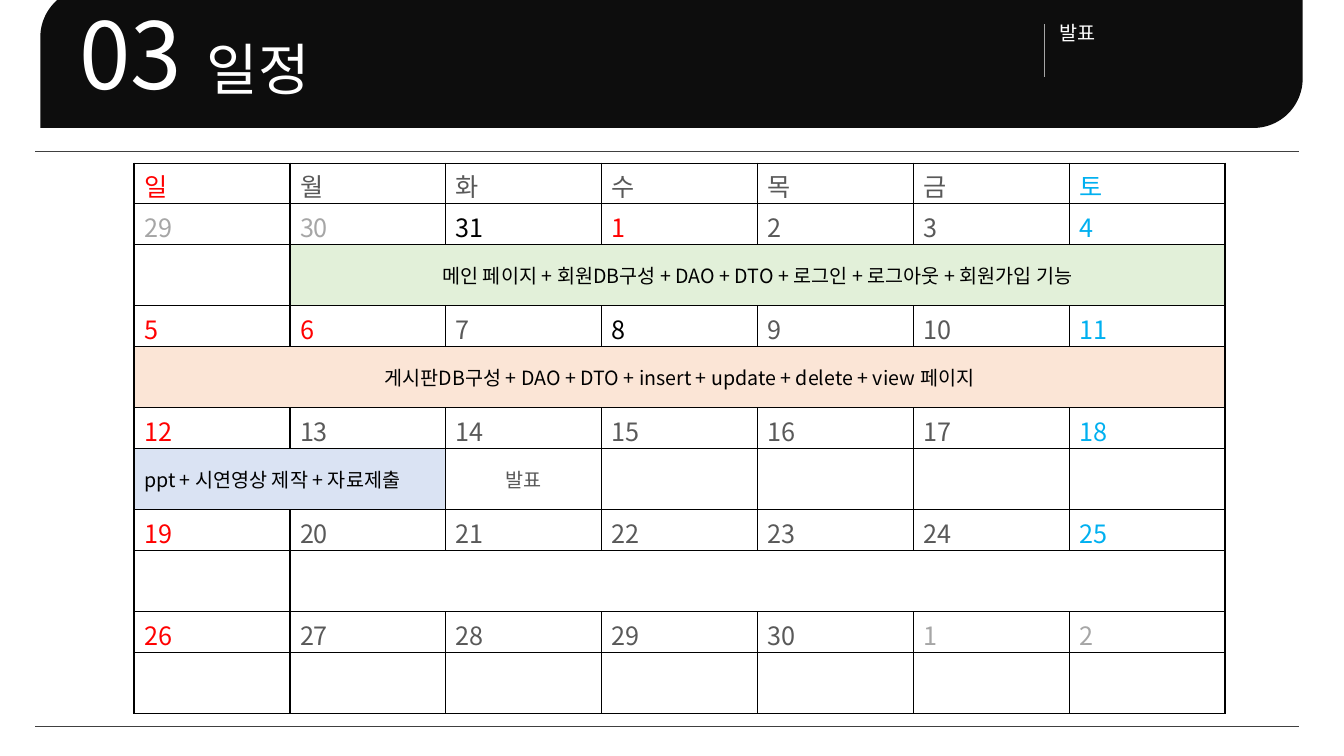
from math import asin, cos, pi, sin
from lxml import etree
from pptx import Presentation
from pptx.dml.color import RGBColor
from pptx.enum.text import MSO_ANCHOR, MSO_AUTO_SIZE, PP_ALIGN
from pptx.oxml import parse_xml
from pptx.oxml.ns import nsdecls, qn
from pptx.util import Inches, Pt

COLORS = {
    "white": "FFFFFF", "black": "000000", "banner": "0D0D0D", "rule": "404040",
    "muted": "A6A6A6", "day": "595959", "red": "FF0000", "blue": "00B0F0",
    "green_bar": "E2F0D9", "orange_bar": "FBE5D6", "blue_bar": "DAE3F3",
}

WEEKS = [
    "일 월 화 수 목 금 토",
    "29 30 31 1 2 3 4",
    "5 6 7 8 9 10 11",
    "12 13 14 15 16 17 18",
    "19 20 21 22 23 24 25",
    "26 27 28 29 30 1 2",
]

WEEKDAY_COLORS = ["red"] + ["day"] * 5 + ["blue"]

SPECIAL_DAYS = {
    (1, 0): "muted", (1, 1): "muted", (1, 2): "black", (1, 3): "red",
    (2, 1): "red", (2, 3): "black", (5, 5): "muted", (5, 6): "muted",
}

EVENTS = [
    (1, 1, 6, "메인 페이지 + 회원DB구성 + DAO + DTO + 로그인 + 로그아웃 + 회원가입 기능",
     "black", "green_bar", PP_ALIGN.CENTER),
    (2, 0, 7, "게시판DB구성 + DAO + DTO + insert + update + delete + view 페이지",
     "black", "orange_bar", PP_ALIGN.CENTER),
    (3, 0, 2, "ppt + 시연영상 제작 + 자료제출", "black", "blue_bar", PP_ALIGN.LEFT),
    (3, 2, 1, "발표", "day", "white", PP_ALIGN.CENTER),
    (4, 1, 6, "", "day", "white", PP_ALIGN.LEFT),
]


def rgb(name):
    return RGBColor.from_string(COLORS[name])


class Deck:
    font = "Noto Sans CJK KR"

    def __init__(self):
        self.prs = Presentation()
        self.prs.slide_width = Inches(13.33)
        self.prs.slide_height = Inches(7.5)
        self.s = self.prs.slides.add_slide(self.prs.slide_layouts[5])

    def set_text(self, tf, text, size, color, align=PP_ALIGN.LEFT):
        tf.text = text
        p = tf.paragraphs[0]
        p.alignment = align
        for r in p.runs:
            r.font.size = Pt(size)
            r.font.name = self.font
            r.font.color.rgb = rgb(color)
            ea = etree.SubElement(r.font._element, qn("a:ea"))
            ea.set("typeface", self.font)
        return p

    def line(self, x1, y1, x2, y2, color, width):
        c = self.s.shapes.add_connector(1, Inches(x1), Inches(y1), Inches(x2), Inches(y2))
        c.line.color.rgb = rgb(color)
        c.line.width = Pt(width)
        etree.SubElement(c._element.spPr, qn("a:effectLst"))

    def banner(self, left, right, bottom, radius):
        def arc(cx, cy, start, end, steps=24):
            angles = [start + (end - start) * i / steps for i in range(steps + 1)]
            return [(cx + radius * cos(a), cy + radius * sin(a)) for a in angles]

        upper_y = 0.37
        points = arc(left + radius, upper_y, pi, pi + asin(upper_y / radius))
        points += [(right, 0)]
        points += arc(right - radius, bottom - radius, 0, pi / 2)
        points += [(left, bottom)]
        points = [(Inches(x), Inches(y)) for x, y in points]
        fb = self.s.shapes.build_freeform(*points[0])
        fb.add_line_segments(points[1:], close=True)
        sp = fb.convert_to_shape()
        sp.shadow.inherit = False
        sp.fill.solid()
        sp.fill.fore_color.rgb = rgb("banner")
        sp.line.fill.background()

    def heading(self, sp, text, size, wrap):
        tf = sp.text_frame
        p = self.set_text(tf, text, size, "white")
        p.line_spacing = 0.88
        tf.word_wrap = wrap
        tf.auto_size = MSO_AUTO_SIZE.NONE
        tf.vertical_anchor = MSO_ANCHOR.TOP

    def label(self, left, top, width, height, text, size):
        sp = self.s.shapes.add_textbox(Inches(left), Inches(top), Inches(width), Inches(height))
        self.heading(sp, text, size, False)

    def title(self, left, top, width, height, text, size):
        sp = self.s.shapes.title
        sp.left, sp.top = Inches(left), Inches(top)
        sp.width, sp.height = Inches(width), Inches(height)
        self.heading(sp, text, size, True)
        sp.element.getparent().append(sp.element)

    def border(self, cell):
        tcPr = cell._tc.get_or_add_tcPr()
        for i, side in enumerate("LRTB"):
            tcPr.insert(i, parse_xml(
                f'<a:ln{side} {nsdecls("a")} w="12700"><a:solidFill>'
                f'<a:srgbClr val="{COLORS["black"]}"/></a:solidFill></a:ln{side}>'))

    def fill_cell(self, cell, color):
        cell.fill.solid()
        cell.fill.fore_color.rgb = rgb(color)

    def calendar(self, left, top, width, height):
        rows = 2 * len(WEEKS) - 1
        table = self.s.shapes.add_table(rows, 7, Inches(left), Inches(top),
                                        Inches(width), Inches(height)).table
        table.first_row = table.horz_banding = False
        for i, row in enumerate(table.rows):
            is_event_row = i > 0 and i % 2 == 0
            row.height = Inches(0.61 if is_event_row else 0.4)
            for cell in row.cells:
                cell.vertical_anchor = MSO_ANCHOR.MIDDLE
                self.fill_cell(cell, "white")
                self.border(cell)
        for week, days in enumerate(WEEKS):
            for col, day in enumerate(days.split()):
                cell = table.cell(max(0, 2 * week - 1), col)
                cell.margin_top, cell.margin_bottom = Inches(0.04), 0
                color = SPECIAL_DAYS.get((week, col), WEEKDAY_COLORS[col])
                self.set_text(cell.text_frame, day, 18, color)
        for week, col, span, text, color, fill, align in EVENTS:
            cell = table.cell(2 * week, col)
            if span > 1:
                cell.merge(table.cell(2 * week, col + span - 1))
            self.fill_cell(cell, fill)
            self.set_text(cell.text_frame, text, 14, color, align)


def main():
    deck = Deck()
    for y in (1.5, 7.21):
        deck.line(0.35, y, 12.88, y, "rule", 0.5)
    deck.banner(0.4, 12.92, 1.27, 0.49)
    deck.line(10.36, 0.24, 10.36, 0.76, "muted", 1)
    deck.label(10.41, 0.19, 0.59, 0.34, "발표", 14)
    deck.label(0.69, 0.06, 1.27, 1.21, "03", 66)
    deck.title(1.95, 0.38, 1.32, 0.77, "일정", 40)
    deck.calendar(1.33, 1.62, 10.82, 5.45)
    deck.prs.save("out.pptx")


if __name__ == "__main__":
    main()
